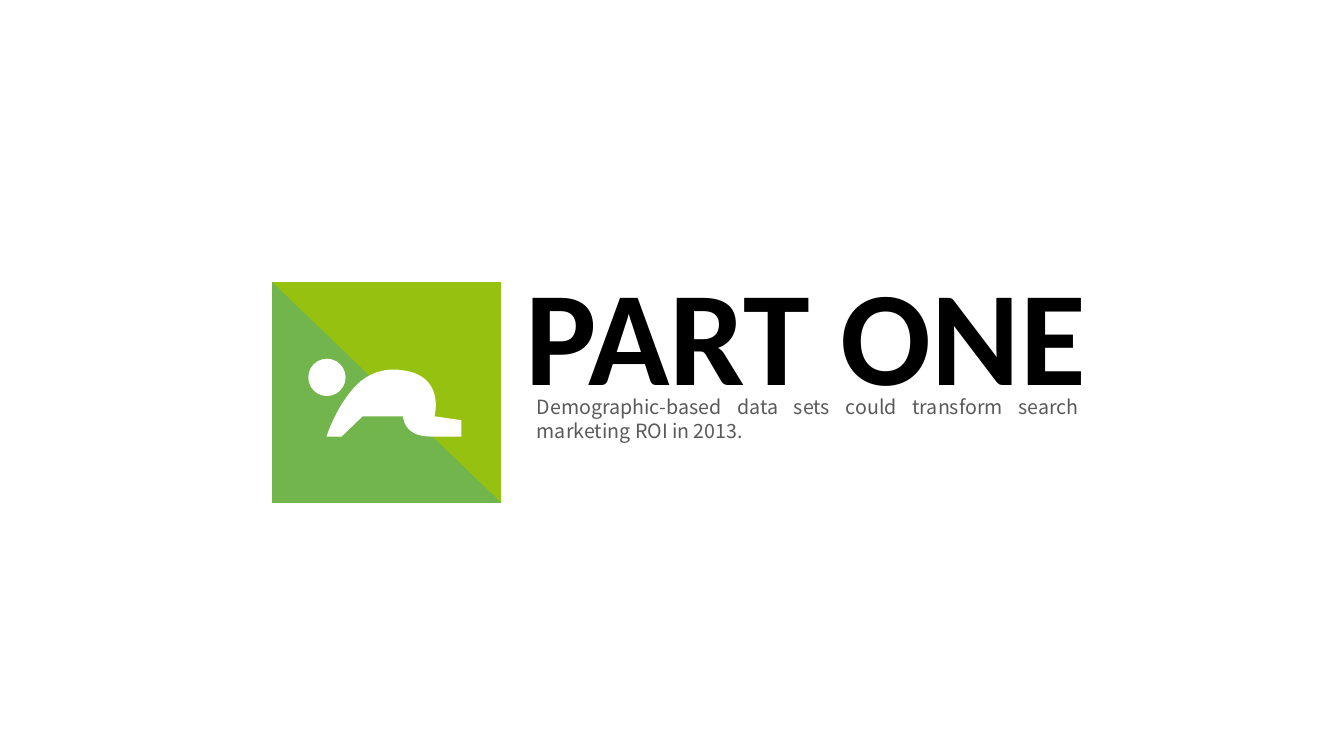
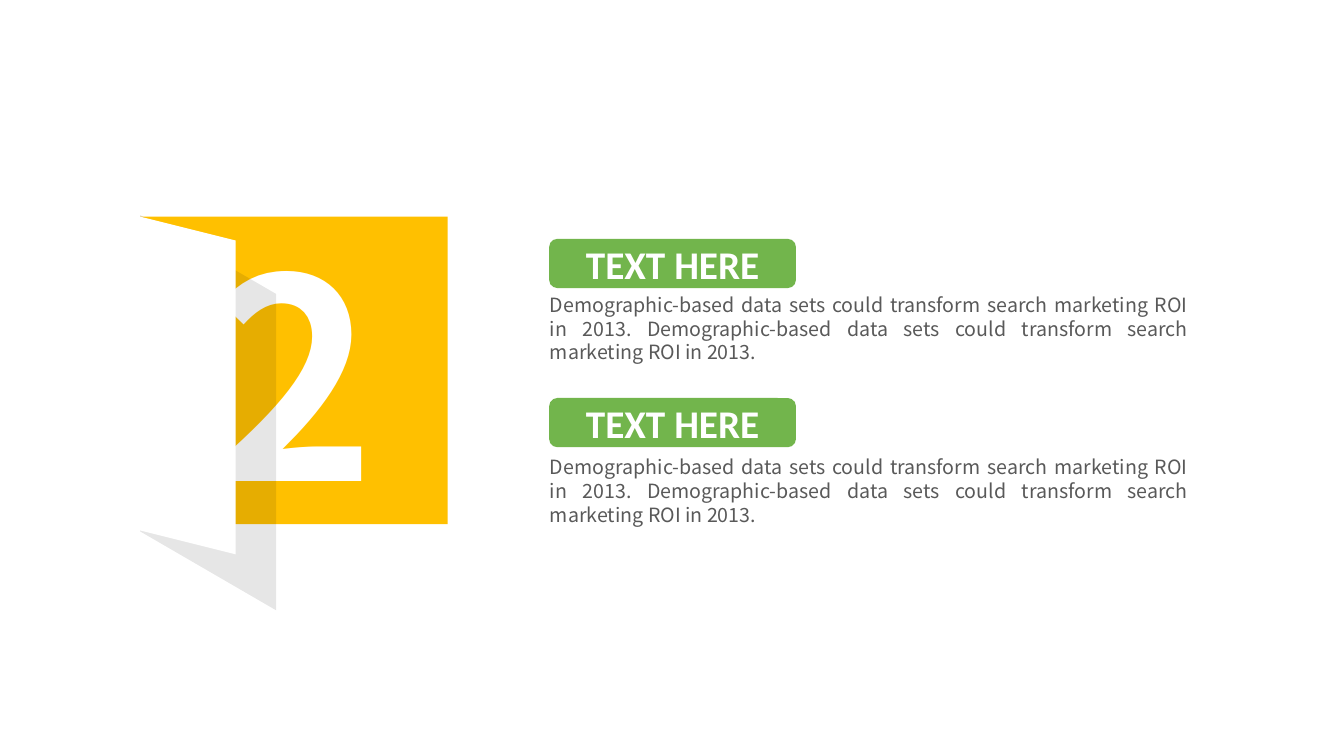
from dataclasses import dataclass

from lxml import etree
from pptx import Presentation
from pptx.dml.color import RGBColor
from pptx.enum.shapes import MSO_SHAPE as Shape
from pptx.enum.text import MSO_ANCHOR as Anchor, MSO_AUTO_SIZE as AutoSize, PP_ALIGN as Align
from pptx.oxml.ns import qn
from pptx.util import Cm, Pt


@dataclass(frozen=True)
class Theme:
    heading_font: str = "Calibri"
    body_font: str = "Noto Sans CJK SC"
    title_size: int = 96
    number_size: int = 199
    label_size: int = 28
    body_size: int = 14
    black: str = "000000"
    white: str = "FFFFFF"
    grey: str = "595959"
    lime: str = "96C110"
    green: str = "72B54C"
    amber: str = "FFC000"
    shade: str = "0D0D0D"


THEME = Theme()
TITLE_ONLY, BLANK = 5, 6
SENTENCE = "Demographic-based data sets could transform search marketing ROI in 2013."

# Each curve: two control points and an end point, in centimetres.
BODY_START = (10.06, 9.32)
BODY_CURVES = [
    ((10.06, 9.32), (9.47, 9.22), (8.99, 9.70)),
    ((8.48, 10.21), (8.23, 11.00), (8.23, 11.00)),
    (8.61, 11.00),
    (9.14, 10.49),
    (10.16, 10.49),
    ((10.16, 10.49), (10.16, 11.00), (10.85, 11.00)),
    (11.63, 11.00),
    (11.63, 10.59),
    (10.95, 10.49),
    ((10.95, 10.49), (11.25, 9.42), (10.06, 9.32)),
]


def paint(shape, color, alpha=None):
    """Give a shape a plain fill without line or shadow; alpha is a percentage."""
    shape.shadow.inherit = False
    shape.line.fill.background()
    shape.fill.solid()
    shape.fill.fore_color.rgb = RGBColor.from_string(color)
    if alpha is not None:
        tint = shape.fill._xPr.find(qn("a:solidFill"))[0]
        etree.SubElement(tint, qn("a:alpha")).set("val", str(alpha * 1000))


def add_block(shapes, preset, left, top, width, height, color):
    block = shapes.add_shape(preset, Cm(left), Cm(top), Cm(width), Cm(height))
    paint(block, color)
    return block


def write(box, text, font, size, color, bold=False, align=Align.LEFT):
    para = box.text_frame.paragraphs[0]
    para.alignment = align
    span = para.add_run()
    span.text = text
    span.font.name = font
    span.font.size = Pt(size)
    span.font.bold = bold
    span.font.color.rgb = RGBColor.from_string(color)


def add_body_text(page, text, left, top, width, height):
    box = page.shapes.add_textbox(Cm(left), Cm(top), Cm(width), Cm(height))
    box.text_frame.word_wrap = True
    box.text_frame.auto_size = AutoSize.SHAPE_TO_FIT_TEXT
    write(box, text, THEME.body_font, THEME.body_size, THEME.grey, align=Align.JUSTIFY)


def set_title(page, text, left, top, width, height):
    title = page.shapes.title
    title.left, title.top = Cm(left), Cm(top)
    title.width, title.height = Cm(width), Cm(height)
    frame = title.text_frame
    frame.word_wrap = False
    frame.auto_size = AutoSize.NONE
    frame.vertical_anchor = Anchor.TOP
    write(title, text, THEME.heading_font, THEME.title_size, THEME.black, bold=True)


def curve_points(start, first, second, end, steps=24):
    """Sample a cubic Bezier curve, leaving out its start."""
    for step in range(1, steps + 1):
        t = step / steps
        weights = ((1 - t) ** 3, 3 * t * (1 - t) ** 2, 3 * t * t * (1 - t), t ** 3)
        corners = (start, first, second, end)
        yield tuple(sum(w * c[axis] for w, c in zip(weights, corners)) for axis in (0, 1))


def add_crawler_body(shapes):
    outline = [BODY_START]
    for piece in BODY_CURVES:
        if len(piece) == 3:
            outline.extend(curve_points(outline[-1], *piece))
        else:
            outline.append(piece)
    points = [(Cm(x), Cm(y)) for x, y in outline]
    builder = shapes.build_freeform(*points[0], scale=1.0)
    builder.add_line_segments(points[1:], close=True)
    paint(builder.convert_to_shape(), THEME.white)


def add_crawler_icon(page):
    shapes = page.shapes.add_group_shape().shapes
    tile = (6.86, 7.11, 5.77, 5.56)
    add_block(shapes, Shape.RECTANGLE, *tile, THEME.lime)
    add_block(shapes, Shape.RIGHT_TRIANGLE, *tile, THEME.green)
    add_block(shapes, Shape.OVAL, 7.77, 9.04, 0.94, 0.94, THEME.white)
    add_crawler_body(shapes)


def add_door_panel(page, left, top, width, height, slant, color, alpha=None):
    """Place a parallelogram turned upright; the lengths are those seen after the turn."""
    shift = (height - width) / 2
    panel = add_block(page.shapes, Shape.PARALLELOGRAM,
                      left - shift, top + shift, height, width, color)
    panel.rotation = 90
    panel.adjustments[0] = slant
    paint(panel, color, alpha)


def add_labelled_block(page, shape, text, font, size):
    shape.text_frame.vertical_anchor = Anchor.MIDDLE
    shape.text_frame.word_wrap = True
    write(shape, text, font, size, THEME.white, bold=True, align=Align.CENTER)


def build_part_page(deck):
    page = deck.slides.add_slide(deck.slide_layouts[TITLE_ONLY])
    add_body_text(page, SENTENCE, 13.28, 9.83, 14.17, 1.45)
    set_title(page, "PART ONE", 13.0, 6.2, 14.76, 4.37)
    add_crawler_icon(page)


def build_door_page(deck):
    page = deck.slides.add_slide(deck.slide_layouts[BLANK])
    left, top, side = 3.53, 5.46, 7.75
    square = add_block(page.shapes, Shape.RECTANGLE, left, top, side, side, THEME.amber)
    add_labelled_block(page, square, "2", THEME.body_font, THEME.number_size)
    add_door_panel(page, left, 5.42, 3.43, 9.96, 0.58, THEME.shade, alpha=10)
    add_door_panel(page, left, top, 2.41, 8.51, 0.25, THEME.white)

    for label_top, text_top in ((6.02, 7.26), (10.03, 11.35)):
        add_body_text(page, f"{SENTENCE} {SENTENCE}", 13.61, text_top, 16.59, 2.06)
        label = add_block(page.shapes, Shape.ROUNDED_RECTANGLE,
                          13.84, label_top, 6.22, 1.24, THEME.green)
        add_labelled_block(page, label, "TEXT HERE", THEME.heading_font, THEME.label_size)


def main():
    deck = Presentation()
    deck.slide_width, deck.slide_height = Cm(33.87), Cm(19.05)
    build_part_page(deck)
    build_door_page(deck)
    deck.save("out.pptx")


if __name__ == "__main__":
    main()
